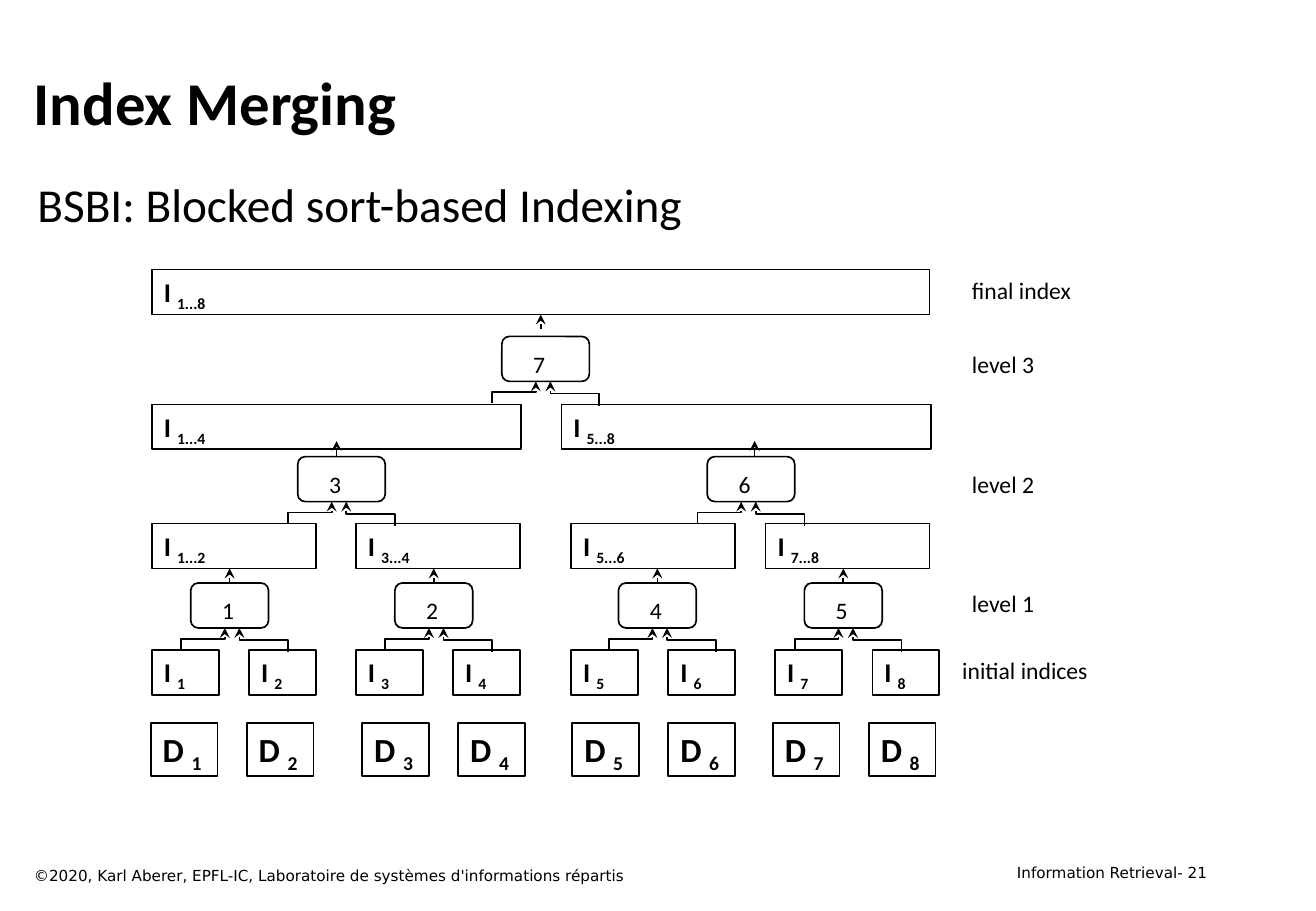
import pptx
import pptx.util
import pptx.dml.color
import pptx.enum.shapes
import pptx.enum.text
import pptx.oxml
import pptx.oxml.ns

Inches = pptx.util.Inches
Pt = pptx.util.Pt
SHAPE = pptx.enum.shapes.MSO_SHAPE
ANCHOR = pptx.enum.text.MSO_ANCHOR
ALIGN = pptx.enum.text.PP_ALIGN

COLORS = {"ink": "000000", "paper": "FFFFFF"}
BODY_FONT, FOOTER_FONT = "Calibri", "DejaVu Sans"

TITLE = "Index Merging"
SUBTITLE = "BSBI: Blocked sort-based Indexing"
CREDIT = "©2020, Karl Aberer, EPFL-IC, Laboratoire de systèmes d'informations répartis"
PAGE = "Information Retrieval- 21"

# Rows of index boxes: top, width, [(left, documents covered)]
MERGED_INDICES = [
    (2.22, 6.4, [(1.25, "1...8")]),
    (3.33, 3.04, [(1.25, "1...4"), (4.62, "5...8")]),
    (4.31, 1.35, [(1.25, "1...2"), (2.93, "3...4"), (4.7, "5...6"), (6.3, "7...8")]),
]
# Rows of single boxes: letter, top, height, font size, step in a pair, left of each pair
SINGLE_BOXES = [
    ("I", 5.35, 0.37, 16, 0.8, [1.25, 2.93, 4.7, 6.38]),
    ("D", 5.95, 0.44, 20, 0.79, [1.24, 2.98, 4.71, 6.36]),
]
# Merge steps per level: top, width, start of output arrow, [(step, left, arrow x)]
MERGES = [
    (4.8, 0.64, 4.8, [("1", 1.57, 1.89), ("2", 3.25, 3.57),
                      ("4", 5.09, 5.41), ("5", 6.62, 6.94)]),
    (3.76, 0.72, 3.75, [("3", 2.45, 2.77), ("6", 5.82, 6.21)]),
    (2.77, 0.72, 2.71, [("7", 4.13, 4.45)]),
]
ROW_LABELS = [
    ("final index", 7.9, 2.22),
    ("level 3", 7.9, 2.83),
    ("level 2", 7.9, 3.82),
    ("level 1", 7.9, 4.8),
    ("initial indices", 7.82, 5.35),
]
BOX_HEIGHT, SINGLE_WIDTH, ARROW_LENGTH = 0.37, 0.55, 0.12

deck = pptx.Presentation()
deck.slide_width, deck.slide_height = Inches(10.83), Inches(7.5)
slide = deck.slides.add_slide(deck.slide_layouts[6])


def color(name):
    return pptx.dml.color.RGBColor.from_string(COLORS[name])


def style_font(paragraph, size, bold=False, name=BODY_FONT):
    font = paragraph.font
    font.name, font.size, font.bold = name, Pt(size), bold
    font.color.rgb = color("ink")


def add_text(text, left, top, width, height, size, bold=False, name=BODY_FONT,
             align=ALIGN.LEFT, anchor=ANCHOR.TOP):
    box = slide.shapes.add_textbox(Inches(left), Inches(top), Inches(width), Inches(height))
    frame = box.text_frame
    frame.word_wrap, frame.vertical_anchor = True, anchor
    paragraph = frame.paragraphs[0]
    paragraph.text, paragraph.alignment = text, align
    style_font(paragraph, size, bold, name)


def add_outlined(kind, left, top, width, height):
    shape = slide.shapes.add_shape(
        kind, Inches(left), Inches(top), Inches(width), Inches(height))
    shape.shadow.inherit = False
    shape.fill.background()
    shape.line.color.rgb, shape.line.width = color("ink"), Pt(1)
    shape.text_frame.word_wrap = True
    shape.text_frame.vertical_anchor = ANCHOR.TOP
    shape.text_frame.paragraphs[0].alignment = ALIGN.LEFT
    return shape


def add_box(letter, subscript, left, top, width, height, size):
    """Add a box holding a letter with a subscript."""
    box = add_outlined(SHAPE.RECTANGLE, left, top, width, height)
    paragraph = box.text_frame.paragraphs[0]
    style_font(paragraph, size, bold=True)
    paragraph.add_run().text = letter + " "
    index = paragraph.add_run()
    index.text = subscript
    index.font._element.set("baseline", "-25000")
    return box


def finish_arrow(arrow):
    """Give a line its ink and a stealth head at its end."""
    arrow.line.color.rgb, arrow.line.width = color("ink"), Pt(1)
    head = pptx.oxml.parse_xml(
        '<a:tailEnd %s type="stealth"/>' % pptx.oxml.ns.nsdecls("a"))
    arrow.line._get_or_add_ln().append(head)


def add_feeder(start_x, end_x, start_y, end_y):
    """Add a stepped arrow from an index up into a merge step."""
    middle_y = (start_y + end_y) / 2
    points = [(Inches(x), Inches(y)) for x, y in
              [(start_x, start_y), (start_x, middle_y), (end_x, middle_y), (end_x, end_y)]]
    builder = slide.shapes.build_freeform(*points[0], scale=1.0)
    builder.add_line_segments(points[1:], close=False)
    feeder = builder.convert_to_shape()
    feeder.shadow.inherit = False
    feeder.fill.background()
    finish_arrow(feeder)


def add_merge(step, left, top, width):
    merge = add_outlined(SHAPE.ROUNDED_RECTANGLE, left, top, width, BOX_HEIGHT)
    frame = merge.text_frame
    frame.margin_left, frame.margin_top = Inches(0.24), Inches(0.09)
    frame.margin_right = frame.margin_bottom = 0
    frame.paragraphs[0].text = step
    style_font(frame.paragraphs[0], 14)
    bottom = top + BOX_HEIGHT
    add_feeder(left - 0.08, left + 0.28, bottom + 0.18, bottom)
    add_feeder(left + 0.8, left + 0.4, bottom + 0.2, bottom)
    return merge


def add_output_arrow(x, start_y):
    arrow = slide.shapes.add_connector(
        pptx.enum.shapes.MSO_CONNECTOR.STRAIGHT,
        Inches(x), Inches(start_y), Inches(x), Inches(start_y - ARROW_LENGTH))
    finish_arrow(arrow)
    arrow._element.spPr.append(
        pptx.oxml.parse_xml("<a:effectLst %s/>" % pptx.oxml.ns.nsdecls("a")))
    return arrow


add_text(TITLE, 0.18, 0.33, 9.84, 1, 36, bold=True, anchor=ANCHOR.MIDDLE)
add_text(SUBTITLE, 0.21, 1.39, 5.8, 0.57, 28)
add_text(CREDIT, 0.18, 7.08, 6.95, 0.25, 9, name=FOOTER_FONT)
add_text(PAGE, 7.77, 7.06, 2.26, 0.25, 9, name=FOOTER_FONT, align=ALIGN.RIGHT)

indices = {}
for top, width, row in MERGED_INDICES:
    for left, covered in row:
        indices[covered] = add_box("I", covered, left, top, width, BOX_HEIGHT, 16)

for letter, top, height, size, step, pair_lefts in SINGLE_BOXES:
    for number in range(2 * len(pair_lefts)):
        left = pair_lefts[number // 2] + number % 2 * step
        box = add_box(letter, str(number + 1), left, top, SINGLE_WIDTH, height, size)
        if letter == "D":
            box.fill.solid()
            box.fill.fore_color.rgb = color("paper")

for top, width, arrow_start, row in MERGES:
    for step, left, arrow_x in row:
        merge = add_merge(step, left, top, width)
        arrow = add_output_arrow(arrow_x, arrow_start)
        if arrow_start == top:
            arrow.begin_connect(merge, 0)
        if step == "7":
            arrow.end_connect(indices["1...8"], 2)

for label, left, top in ROW_LABELS:
    add_text(label, left, top, 1.52, 0.34, 14)

deck.save("out.pptx")
